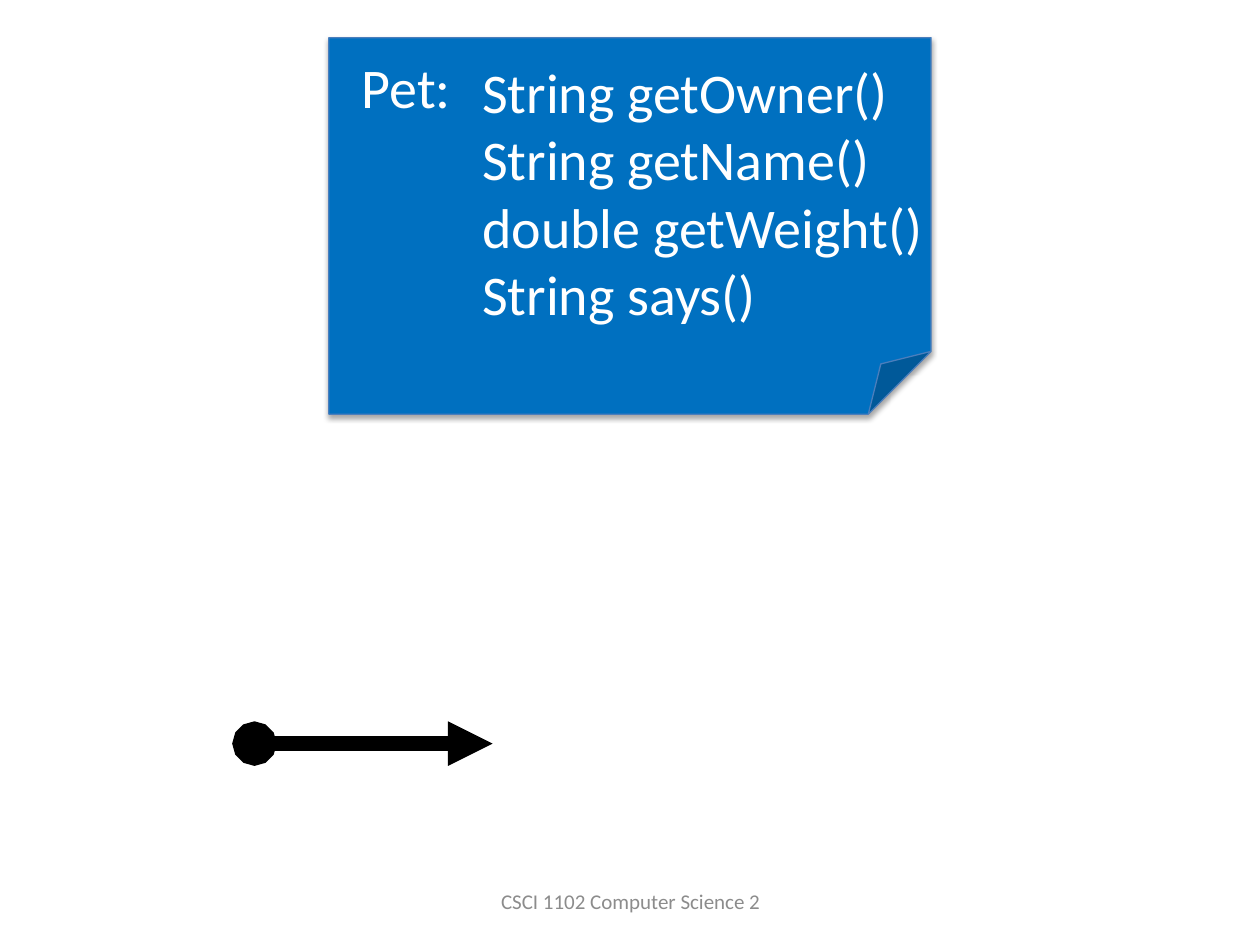
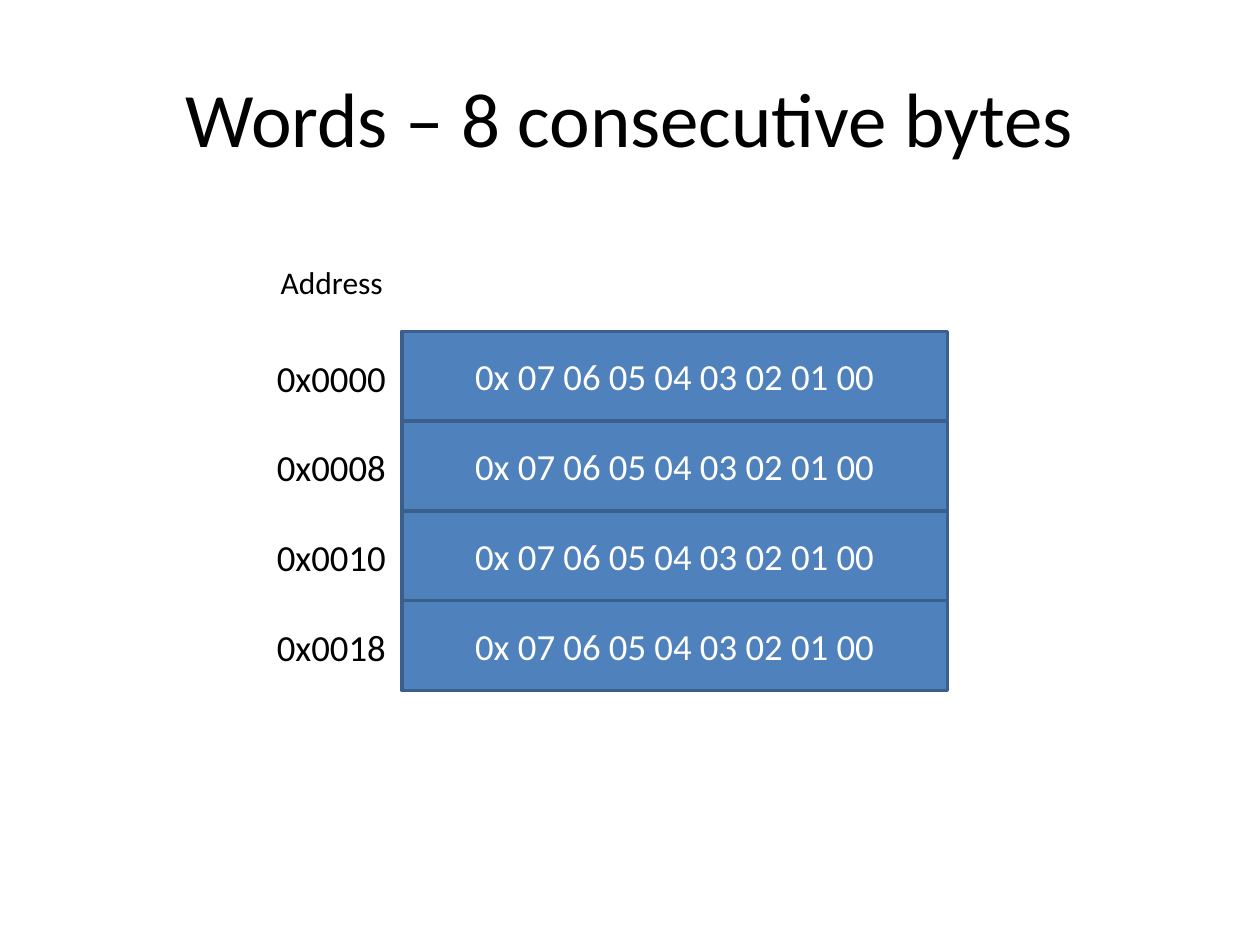
import pptx
import pptx.util
from pptx.dml.color import RGBColor
from pptx.enum.shapes import MSO_CONNECTOR, MSO_SHAPE
from pptx.enum.text import MSO_ANCHOR, PP_ALIGN
from pptx.oxml import parse_xml
from pptx.oxml.ns import nsdecls, qn
from pptx.util import Cm

FONT = "Calibri"
BLACK, WHITE, GREY = "000000", "FFFFFF", "8C8C8C"
NOTE_FILL, NOTE_LINE = "0070C0", "4B7EBC"
WORD_FILL, WORD_LINE = "4F81BD", "3A5F8C"
CENTRED = {"align": PP_ALIGN.CENTER, "anchor": MSO_ANCHOR.MIDDLE}

PET_METHODS = ["String getOwner()", "String getName()", "double getWeight()", "String says()"]
WORD_BYTES = "0x 07 06 05 04 03 02 01 00"
WORD_SIZE, WORD_COUNT = 8, 4
WORD_TOP, WORD_HEIGHT = 6.68, 1.81


def colour(hex_code):
    return RGBColor.from_string(hex_code)


def cm_box(*lengths):
    return [Cm(length) for length in lengths]


def write(shape, lines, size, ink, align=PP_ALIGN.LEFT, anchor=MSO_ANCHOR.TOP, wrap=True):
    """Fill a shape with one paragraph per line, all in the same style."""
    frame = shape.text_frame
    frame.word_wrap = wrap
    frame.vertical_anchor = anchor
    font_format = {"name": FONT, "size": pptx.util.Pt(size)}
    for index, line in enumerate(lines):
        paragraph = frame.add_paragraph() if index else frame.paragraphs[0]
        paragraph.alignment = align
        run = paragraph.add_run()
        run.text = line
        for attribute, value in font_format.items():
            setattr(run.font, attribute, value)
        run.font.color.rgb = colour(ink)


def add_label(slide, box, lines, size, ink=BLACK, **layout):
    write(slide.shapes.add_textbox(*cm_box(*box)), lines, size, ink, **layout)


def add_panel(slide, kind, box, fill, outline, outline_width):
    panel = slide.shapes.add_shape(kind, *cm_box(*box))
    panel.fill.solid()
    panel.fill.fore_color.rgb = colour(fill)
    panel.line.color.rgb = colour(outline)
    panel.line.width = pptx.util.Pt(outline_width)
    panel.shadow.inherit = False
    return panel


def drop_shadow(panel):
    effects = panel.element.spPr.find(qn("a:effectLst"))
    effects.append(parse_xml(
        f'<a:outerShdw {nsdecls("a")} blurRad="39370" dist="22860" dir="5400000" rotWithShape="0">'
        f'<a:srgbClr val="{BLACK}"><a:alpha val="35000"/></a:srgbClr></a:outerShdw>'))


def add_reference_arrow(slide, start_x, end_x, y):
    """Draw a heavy arrow that starts at a dot."""
    arrow = slide.shapes.add_connector(
        MSO_CONNECTOR.STRAIGHT, *cm_box(start_x, y, end_x, y))
    arrow.line.color.rgb = colour(BLACK)
    arrow.line.width = pptx.util.Pt(8.5)
    properties = arrow.element.spPr
    for end, tip in {"headEnd": "oval", "tailEnd": "triangle"}.items():
        properties.find(qn("a:ln")).append(
            parse_xml(f'<a:{end} {nsdecls("a")} type="{tip}"/>'))
    properties.append(parse_xml(f'<a:effectLst {nsdecls("a")}/>'))


def add_memory_word(slide, index):
    """Draw one word of memory with its address on the left."""
    top = WORD_TOP + index * WORD_HEIGHT
    word = add_panel(slide, MSO_SHAPE.RECTANGLE, (8.1, top, 11, WORD_HEIGHT),
                     WORD_FILL, WORD_LINE, 2)
    write(word, [WORD_BYTES], 21, WHITE, **CENTRED)
    add_label(slide, (5.33, top + 0.36, 5.03, 1.14), [f"0x{index * WORD_SIZE:04x}"], 21)


def build_pet_slide(slide):
    add_label(slide, (8.69, 17.65, 8.05, 1.02), ["CSCI 1102 Computer Science 2"],
              12, GREY, **CENTRED)
    add_reference_arrow(slide, 5.13, 9.93, 14.99)
    note = add_panel(slide, MSO_SHAPE.FOLDED_CORNER, (6.63, 0.76, 12.14, 7.59),
                     NOTE_FILL, NOTE_LINE, 0.75)
    drop_shadow(note)
    add_label(slide, (9.47, 1.04, 9.47, 5.74), PET_METHODS, 32, WHITE, wrap=False)
    add_label(slide, (7.04, 0.94, 2.34, 1.63), ["Pet:"], 32, WHITE, wrap=False)


def build_words_slide(slide):
    add_label(slide, (1.27, 0.76, 22.86, 3.18), ["Words – 8 consecutive bytes"], 44, **CENTRED)
    add_label(slide, (5.41, 5.18, 2.59, 1.02), ["Address"], 18, wrap=False)
    for index in range(WORD_COUNT):
        add_memory_word(slide, index)


def main():
    deck = pptx.Presentation()
    deck.slide_width, deck.slide_height = Cm(25.4), Cm(19.05)
    blank = deck.slide_layouts[6]
    for build in (build_pet_slide, build_words_slide):
        build(deck.slides.add_slide(blank))
    deck.save("out.pptx")


if __name__ == "__main__":
    main()
